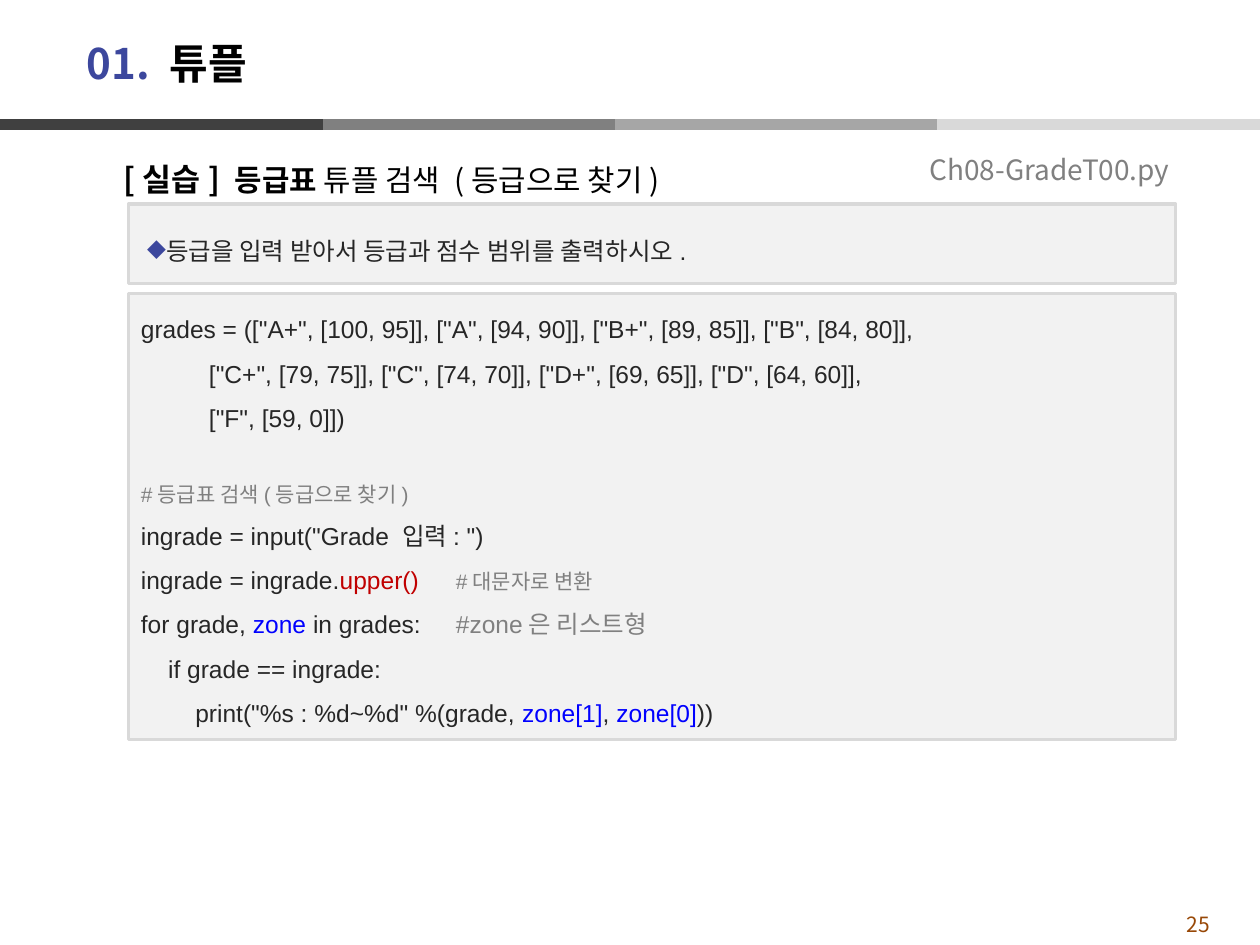
from lxml import etree
from pptx import Presentation
from pptx import util as u
from pptx.dml.color import RGBColor
from pptx.enum import shapes, text
from pptx.oxml.ns import qn

COLORS = {
    "accent": "3C479D", "black": "000000", "code": "262626", "comment": "808080",
    "call": "C00000", "variable": "0000FF", "page": "984807",
    "panel": "F2F2F2", "border": "D9D9D9",
}
KOREAN = "Noto Sans CJK KR"
CODE = "Arial"

# Runs are (text, size, colour, bold)
TITLE = [("01. ", 24, "accent", True), ("튜플", 24, "black", True)]
HEADING = [
    ("[실습] ", 18, "black", True),
    ("등급표 ", 17, "black", True),
    ("튜플 검색 (등급으로 찾기)", 17, "black", False),
]
FILE_NAME = [("Ch08-GradeT00.py", 16, "comment", False)]
PAGE = [("25", 12, "page", False)]
TASK = [("등급을 입력 받아서 등급과 점수 범위를 출력하시오.", 14, "code", False)]

# Code lines are (indent in characters, space before in points, runs of text, size, colour)
CODE_LINES = [
    (0, 0, [('grades = (["A+", [100, 95]], ["A", [94, 90]], ["B+", [89, 85]], ["B", [84, 80]],', 14, "code")]),
    (10, 0, [('["C+", [79, 75]], ["C", [74, 70]], ["D+", [69, 65]], ["D", [64, 60]],', 14, "code")]),
    (10, 0, [('["F", [59, 0]])', 14, "code")]),
    (0, 21, [("#등급표 검색(등급으로 찾기)", 12, "comment")]),
    (0, 0, [('ingrade = input("Grade 입력: ")', 14, "code")]),
    (0, 0, [("ingrade = ingrade.", 14, "code"), ("upper()", 14, "call"),
            ("\t#대문자로 변환", 12, "comment")]),
    (0, 0, [("for grade, ", 14, "code"), ("zone", 14, "variable"),
            (" in grades:", 14, "code"), ("\t#zone은 리스트형", 14, "comment")]),
    (4, 0, [("if grade == ingrade:", 14, "code")]),
    (8, 0, [('print("%s : %d~%d" %(grade, ', 14, "code"), ("zone[1]", 14, "variable"),
            (", ", 14, "code"), ("zone[0]", 14, "variable"), ("))", 14, "code")]),
]
CHARACTER_WIDTH = 0.054
COMMENT_TAB = 2.43

# The dark segment comes last, on top of its neighbour
RULE_Y = 0.99
RULE_LENGTH = 2.56
RULE_SEGMENTS = [(2.32, "808080"), (4.88, "A6A6A6"), (7.44, "D9D9D9"), (0, "404040")]


def rgb(name):
    return RGBColor.from_string(COLORS.get(name, name))


def add_runs(paragraph, runs, typeface):
    for words, size, color, bold in runs:
        run = paragraph.add_run()
        run.text = words
        font = run.font
        font.name, font.size, font.bold = typeface, u.Pt(size), bold
        font.color.rgb = rgb(color)
        east_asian = etree.Element(qn("a:ea"), typeface=KOREAN)
        run._r.rPr.find(qn("a:latin")).addnext(east_asian)


def set_indent(paragraph, margin, first_line=0):
    properties = paragraph._p.get_or_add_pPr()
    properties.set("marL", str(u.Inches(margin)))
    properties.set("indent", str(u.Inches(first_line)))
    return properties


def add_text(slide, box, runs, anchor, align=text.PP_ALIGN.LEFT, wrap=True):
    frame = slide.shapes.add_textbox(*map(u.Inches, box)).text_frame
    frame.word_wrap, frame.vertical_anchor = wrap, anchor
    paragraph = frame.paragraphs[0]
    paragraph.alignment = align
    add_runs(paragraph, runs, KOREAN)
    return paragraph


def add_panel(slide, top, height, anchor):
    panel = slide.shapes.add_shape(
        shapes.MSO_SHAPE.RECTANGLE, *map(u.Inches, (1.02, top, 8.31, height)))
    panel.shadow.inherit = False
    panel.fill.solid()
    panel.fill.fore_color.rgb = rgb("panel")
    panel.line.color.rgb = rgb("border")
    panel.line.width = u.Pt(2)
    frame = panel.text_frame
    frame.word_wrap, frame.vertical_anchor = True, anchor
    return frame


def add_rule(slide):
    for left, color in RULE_SEGMENTS:
        segment = slide.shapes.add_connector(
            shapes.MSO_CONNECTOR.STRAIGHT,
            *map(u.Inches, (left, RULE_Y, left + RULE_LENGTH, RULE_Y)))
        segment.line.color.rgb = rgb(color)
        segment.line.width = u.Pt(6)
        etree.SubElement(segment._element.spPr, qn("a:effectLst"))


def add_task(slide):
    paragraph = add_panel(slide, 1.62, 0.63, text.MSO_ANCHOR.MIDDLE).paragraphs[0]
    paragraph.alignment = text.PP_ALIGN.LEFT
    paragraph.line_spacing = 1.5
    properties = set_indent(paragraph, 0.2, -0.15)
    bullet_color = etree.SubElement(properties, qn("a:buClr"))
    etree.SubElement(bullet_color, qn("a:srgbClr"), val=COLORS["accent"])
    etree.SubElement(properties, qn("a:buChar"), char="◆")
    add_runs(paragraph, TASK, CODE)


def add_code(slide):
    frame = add_panel(slide, 2.33, 3.54, text.MSO_ANCHOR.TOP)
    for number, (indent, space_before, runs) in enumerate(CODE_LINES):
        paragraph = frame.add_paragraph() if number else frame.paragraphs[0]
        paragraph.alignment = text.PP_ALIGN.LEFT
        paragraph.line_spacing = 1.5
        paragraph.space_before = u.Pt(space_before)
        properties = set_indent(paragraph, indent * CHARACTER_WIDTH)
        if any("\t" in run[0] for run in runs):
            tabs = etree.SubElement(properties, qn("a:tabLst"))
            etree.SubElement(tabs, qn("a:tab"), pos=str(u.Inches(COMMENT_TAB)), algn="l")
        add_runs(paragraph, [(*run, False) for run in runs], CODE)


def main():
    deck = Presentation()
    deck.slide_width, deck.slide_height = u.Inches(10), u.Inches(7.5)
    slide = deck.slides.add_slide(deck.slide_layouts[5])

    title = slide.shapes.title
    title.left, title.top, title.width, title.height = map(u.Inches, (0.59, 0.2, 8.74, 0.6))
    title.text_frame.vertical_anchor = text.MSO_ANCHOR.MIDDLE
    title_line = title.text_frame.paragraphs[0]
    title_line.alignment = text.PP_ALIGN.LEFT
    add_runs(title_line, TITLE, KOREAN)

    add_rule(slide)
    heading = add_text(slide, (0.59, 1.07, 9.37, 0.55), HEADING, text.MSO_ANCHOR.TOP)
    heading.line_spacing = 1.5
    set_indent(heading, 0.29)
    add_task(slide)
    add_code(slide)
    add_text(slide, (7.28, 1.08, 2.28, 0.53), FILE_NAME, text.MSO_ANCHOR.MIDDLE, wrap=False)
    add_text(slide, (9.05, 7.22, 0.92, 0.23), PAGE, text.MSO_ANCHOR.MIDDLE,
             text.PP_ALIGN.CENTER)
    deck.save("out.pptx")


if __name__ == "__main__":
    main()
